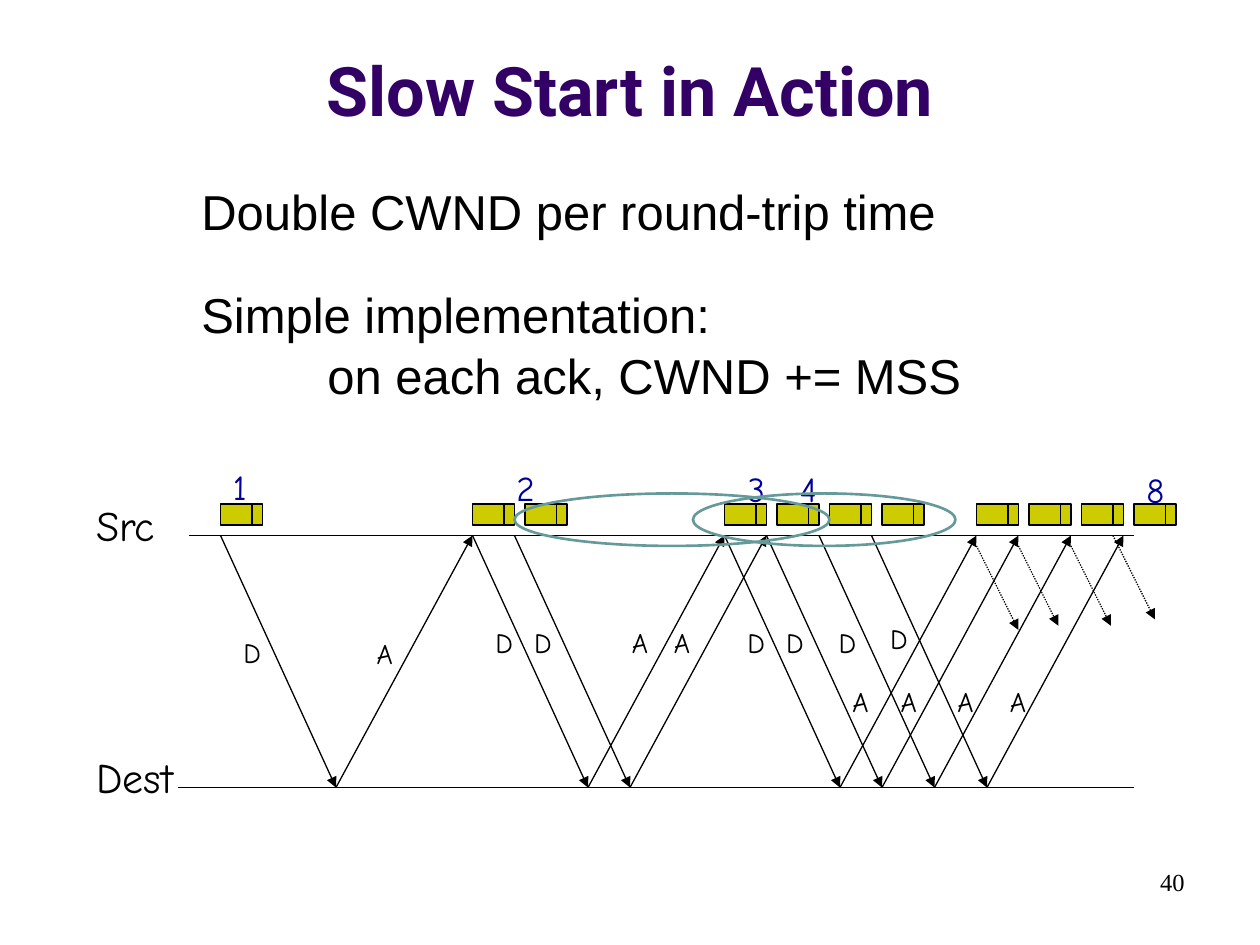
from lxml import etree
from pptx import Presentation
from pptx.dml.color import RGBColor
from pptx.enum.dml import MSO_LINE
from pptx.enum.shapes import MSO_CONNECTOR, MSO_SHAPE
from pptx.enum.text import MSO_ANCHOR, MSO_AUTO_SIZE, PP_ALIGN
from pptx.oxml.ns import qn
from pptx.util import Pt

PX = 7620  # 120 px to the inch
STRAIGHT = MSO_CONNECTOR.STRAIGHT
DOTTED = MSO_LINE.ROUND_DOT
RECTANGLE, OVAL = MSO_SHAPE.RECTANGLE, MSO_SHAPE.OVAL
LEFT, CENTER, RIGHT = PP_ALIGN.LEFT, PP_ALIGN.CENTER, PP_ALIGN.RIGHT

BLACK = RGBColor(0x00, 0x00, 0x00)
PURPLE = RGBColor(0x33, 0x00, 0x66)
NAVY = RGBColor(0x00, 0x00, 0x99)
OLIVE = RGBColor(0xCC, 0xCC, 0x00)
TEAL = RGBColor(0x66, 0x99, 0x99)

SRC_Y, DEST_Y = 510, 750
DATA_RUN, ACK_RUN = 110, 130  # horizontal travel of each trip
PACKET_Y, PACKET_W, PACKET_H = 480, 40, 20

deck = Presentation()
deck.slide_width, deck.slide_height = 1200 * PX, 900 * PX
page = deck.slides.add_slide(deck.slide_layouts[6])


def add_text(text, left, top, width, height, size, font="Comic Neue",
             color=BLACK, align=LEFT, wrap=False):
    box = page.shapes.add_textbox(left * PX, top * PX, width * PX, height * PX)
    frame = box.text_frame
    frame.text = text
    frame.word_wrap = wrap
    frame.auto_size = MSO_AUTO_SIZE.NONE if wrap else MSO_AUTO_SIZE.SHAPE_TO_FIT_TEXT
    for para in frame.paragraphs:
        para.alignment = align
        for span in para.runs:
            span.font.name = font
            span.font.size = Pt(size)
            span.font.color.rgb = color
    return frame


def add_line(x1, y1, x2, y2, arrow=False, dotted=False):
    line = page.shapes.add_connector(STRAIGHT, x1 * PX, y1 * PX, x2 * PX, y2 * PX)
    line.line.color.rgb = BLACK
    line.line.width = Pt(0.75)
    if dotted:
        line.line.dash_style = DOTTED
    if arrow:
        etree.SubElement(line.line._get_or_add_ln(), qn("a:tailEnd"), type="triangle")
    etree.SubElement(line._element.spPr, qn("a:effectLst"))


# Title and page number
title = add_text("Slow Start in Action", 0, 16, 1200, 114, 39, "Roboto",
                 PURPLE, CENTER, wrap=True)
title.vertical_anchor = MSO_ANCHOR.BOTTOM
title.paragraphs[0].runs[0].font.bold = True
add_text("40", 860, 820, 280, 60, 14, "Times New Roman", align=RIGHT, wrap=True)

# Body text
body = add_text("Double CWND per round-trip time\nSimple implementation:\n"
                "on each ack, CWND += MSS", 180, 162, 830, 220, 28, "Arial", wrap=True)
body.margin_top = 11 * PX
body.paragraphs[1].space_before = Pt(25)
body.paragraphs[2].space_before = Pt(1.5)
body.paragraphs[2]._p.get_or_add_pPr().set("marL", str(120 * PX))

# Source and destination timelines
add_line(180, SRC_Y, 1080, SRC_Y)
add_line(170, DEST_Y, 1080, DEST_Y)
add_text("Src", 80, 470, 91, 60, 24)
add_text("Dest", 80, 710, 113, 60, 24)

# Data and acknowledgement arrows
for start in (210, 450, 490, 690, 730, 780, 830):
    arrival = start + DATA_RUN
    add_line(start, SRC_Y, arrival, DEST_Y, arrow=True)
    add_line(arrival, DEST_Y, arrival + ACK_RUN, SRC_Y, arrow=True)

# Next round of data, cut short
for x, y, run, drop in ((930, 520, 40, 80), (970, 520, 38, 76),
                        (1020, 520, 38, 76), (1060, 510, 40, 80)):
    add_line(x, y, x + run, y + drop, arrow=True, dotted=True)

# Packets: each round trip sends more of them
for first, count in ((210, 1), (450, 2), (690, 4), (930, 4)):
    for index in range(count):
        left = first + 50 * index
        packet = page.shapes.add_shape(RECTANGLE, left * PX, PACKET_Y * PX,
                                       PACKET_W * PX, PACKET_H * PX)
        packet.shadow.inherit = False
        packet.fill.solid()
        packet.fill.fore_color.rgb = OLIVE
        packet.line.color.rgb = BLACK
        packet.line.width = Pt(0.75)
        add_line(left + 30, PACKET_Y, left + 30, PACKET_Y + PACKET_H)

# Arrow labels
for letter, places in (
    ("D", ((220, 599), (460, 590), (497, 590), (700, 590), (737, 590),
           (787, 590), (836, 586))),
    ("A", ((347, 600), (590, 590), (630, 590), (800, 646), (846, 646),
           (900, 646), (950, 646))),
):
    for left, top in places:
        add_text(letter, left, top, 43, 44, 16)

# Window sizes
for size, left, top in (("1", 210, 437), ("2", 480, 438), ("3", 700, 439),
                        ("4", 750, 439), ("8", 1080, 440)):
    add_text(size, left, top, 40 if size == "1" else 44, 52, 20, color=NAVY)

# Rings around related packets
for left, width in ((490, 300), (660, 250)):
    ring = page.shapes.add_shape(OVAL, left * PX, 470 * PX, width * PX, 50 * PX)
    ring.shadow.inherit = False
    ring.fill.background()
    ring.line.color.rgb = TEAL
    ring.line.width = Pt(1.5)

deck.save("out.pptx")
